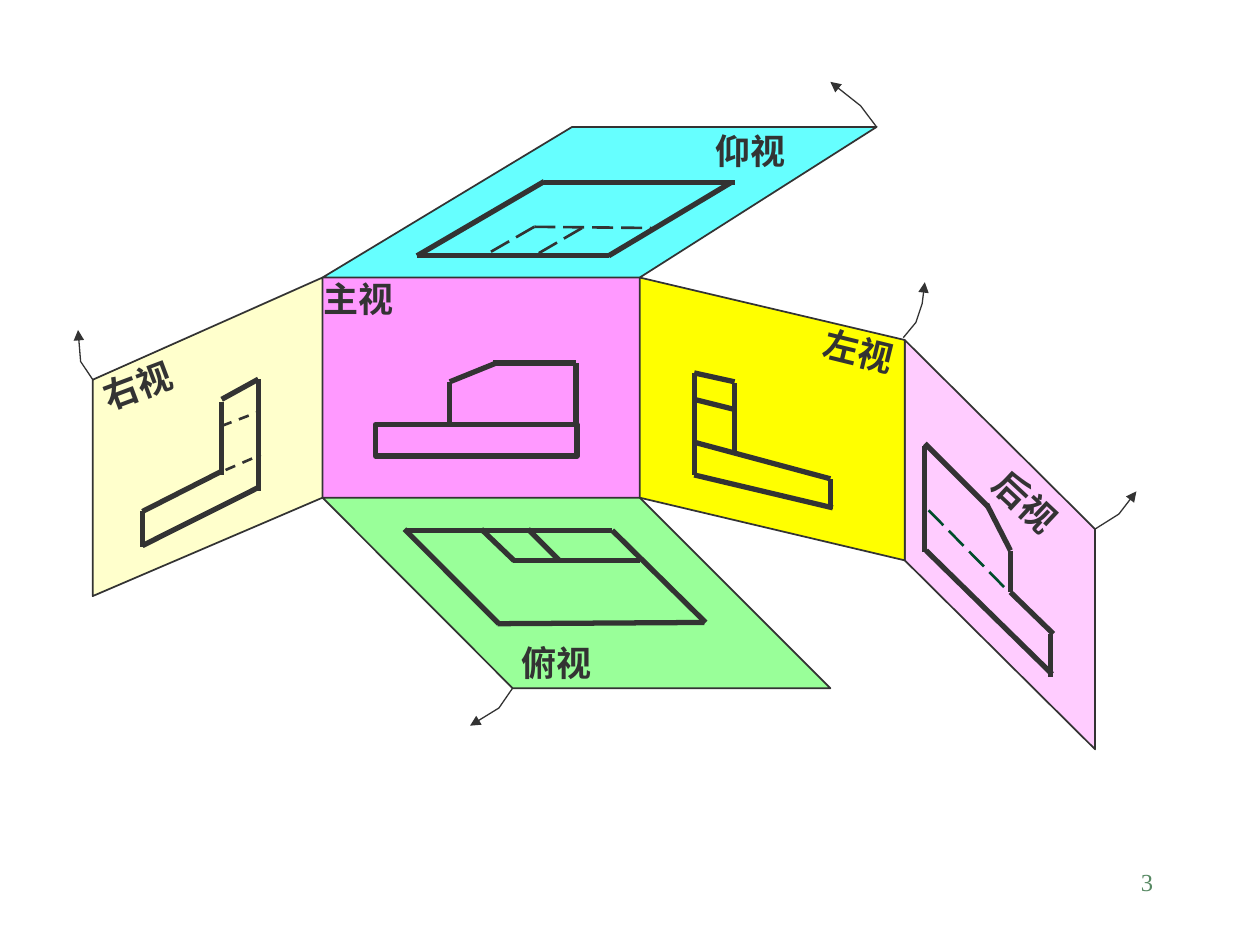
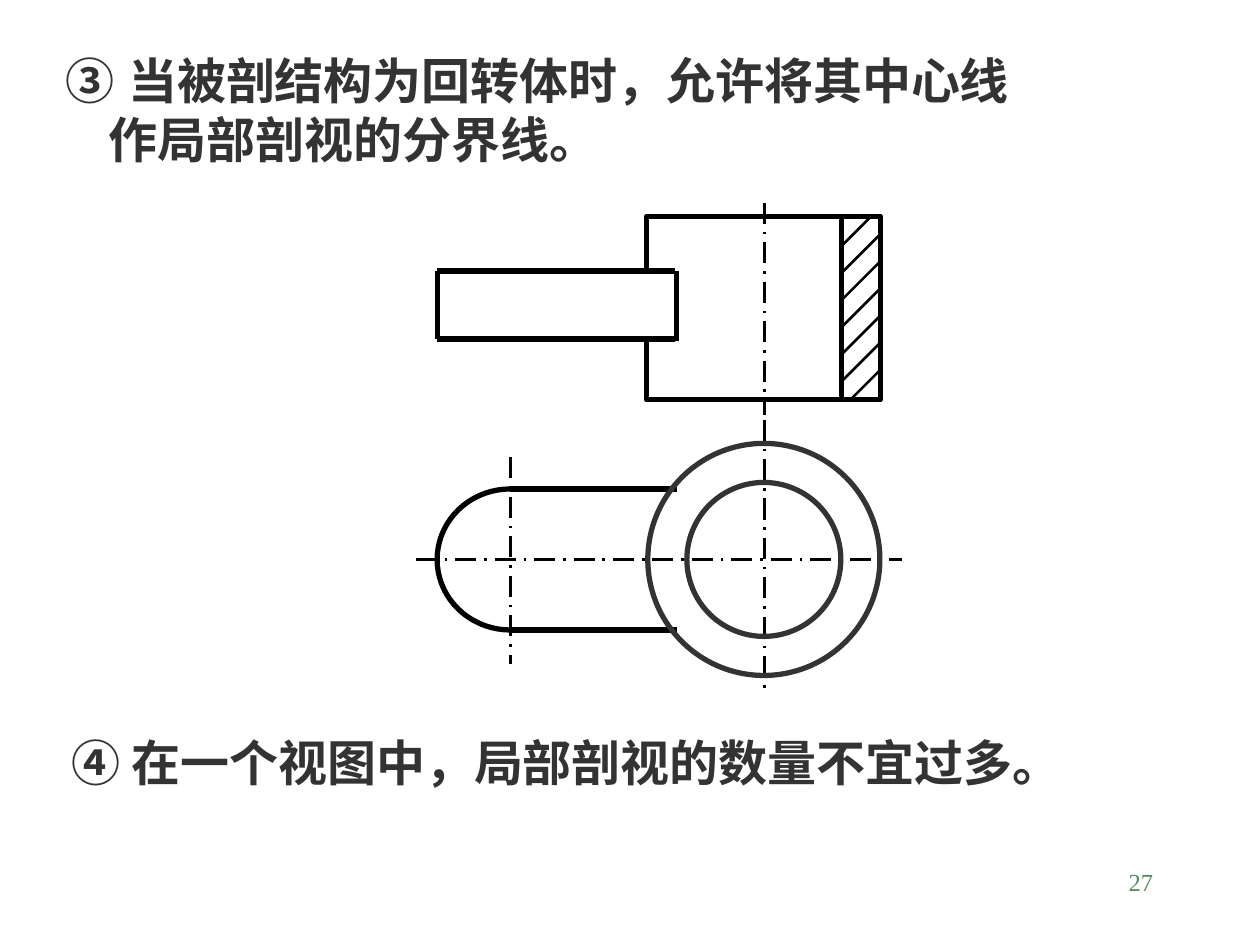
import math

import pptx
import pptx.dml.color
import pptx.enum.dml
import pptx.enum.shapes
import pptx.enum.text
import pptx.oxml
import pptx.oxml.ns
import pptx.util

Pt = pptx.util.Pt
RECTANGLE = pptx.enum.shapes.MSO_SHAPE.RECTANGLE
OVAL = pptx.enum.shapes.MSO_SHAPE.OVAL
DASH = pptx.enum.dml.MSO_LINE.DASH
LONG_DASH = pptx.enum.dml.MSO_LINE.LONG_DASH
CENTRE_DASH = pptx.enum.dml.MSO_LINE.LONG_DASH_DOT
TOP = pptx.enum.text.MSO_ANCHOR.TOP
MIDDLE = pptx.enum.text.MSO_ANCHOR.MIDDLE

INK, BLACK, WHITE = "333333", "000000", "FFFFFF"
HIDDEN_GREEN, NUMBER_GREEN = "004C2B", "578963"
LATIN_FONT, CHINESE_FONT = "Times New Roman", "Noto Sans CJK SC"
THICK, MEDIUM, THIN, HAIR = 3, 1.5, 1, 0.75


def color(hex_string):
    return pptx.dml.color.RGBColor.from_string(hex_string)


def drawing_element(tag, attributes=""):
    namespace = pptx.oxml.ns.nsdecls("a")
    return pptx.oxml.parse_xml(f"<a:{tag} {namespace} {attributes}/>")


class Sheet:
    """Draws on the current slide; all lengths are points."""

    def __init__(self, presentation):
        self.presentation = presentation
        self.slide = None

    def new_slide(self, number):
        self.slide = self.presentation.slides.add_slide(self.presentation.slide_layouts[6])
        paragraph = self.text_frame(516.2, 491.8, 149.8, 36).paragraphs[0]
        paragraph.alignment = pptx.enum.text.PP_ALIGN.RIGHT
        self.run(paragraph, str(number), 14, NUMBER_GREEN, bold=False)

    def outline(self, line, line_color, weight, dash=None):
        line.color.rgb = color(line_color)
        line.width = Pt(weight)
        if dash is not None:
            line.dash_style = dash

    def finish(self, shape, fill, line_color, weight):
        shape.shadow.inherit = False
        if fill:
            shape.fill.solid()
            shape.fill.fore_color.rgb = color(fill)
        else:
            shape.fill.background()
        self.outline(shape.line, line_color, weight)
        return shape

    def preset(self, kind, left, top, width, height, line_color=INK, weight=THICK, fill=None):
        shape = self.slide.shapes.add_shape(kind, Pt(left), Pt(top), Pt(width), Pt(height))
        return self.finish(shape, fill, line_color, weight)

    def polyline(self, points, line_color=INK, weight=THIN, fill=None, close=False):
        (first_x, first_y), *others = [(Pt(x), Pt(y)) for x, y in points]
        builder = self.slide.shapes.build_freeform(first_x, first_y)
        builder.add_line_segments(others, close=close)
        return self.finish(builder.convert_to_shape(), fill, line_color, weight)

    def arrow(self, points):
        shape = self.polyline(points, weight=HAIR)
        shape.line._get_or_add_ln().append(drawing_element("tailEnd", 'type="triangle"'))

    def lines(self, segments, line_color=INK, weight=THICK, dash=None):
        for segment in segments:
            connector = self.slide.shapes.add_connector(
                pptx.enum.shapes.MSO_CONNECTOR.STRAIGHT, *(Pt(value) for value in segment))
            self.outline(connector.line, line_color, weight, dash)
            connector._element.spPr.append(drawing_element("effectLst"))

    def text_frame(self, left, top, width, height, rotation=0, anchor=TOP):
        box = self.slide.shapes.add_textbox(Pt(left), Pt(top), Pt(width), Pt(height))
        box.rotation = rotation
        frame = box.text_frame
        frame.word_wrap = True
        frame.vertical_anchor = anchor
        return frame

    def run(self, paragraph, text, size, text_color=INK, latin=LATIN_FONT, bold=True):
        run = paragraph.add_run()
        run.text = text
        run.font.size = Pt(size)
        run.font.bold = bold
        run.font.color.rgb = color(text_color)
        run.font.name = latin
        run._r.get_or_add_rPr().append(drawing_element("ea", f'typeface="{CHINESE_FONT}"'))

    def label(self, text, left, top, width, rotation=0):
        frame = self.text_frame(left, top, width, 31, rotation, MIDDLE)
        frame.margin_right = 0
        self.run(frame.paragraphs[0], text, 20)

    def statement(self, rows, left, top, width, height):
        """Rows are (text, left margin, tab stop)."""
        frame = self.text_frame(left, top, width, height)
        frame.margin_top = Pt(6)
        for index, (text, margin, tab_stop) in enumerate(rows):
            paragraph = frame.add_paragraph() if index else frame.paragraphs[0]
            paragraph.line_spacing = Pt(33.5)
            properties = paragraph._p.get_or_add_pPr()
            properties.set("marL", str(Pt(margin)))
            properties.set("indent", "0")
            if tab_stop:
                tabs = drawing_element("tabLst")
                tabs.append(drawing_element("tab", f'pos="{Pt(tab_stop)}" algn="l"'))
                properties.append(tabs)
            self.run(paragraph, text, 28, latin=CHINESE_FONT)


def unfolded_views(sheet):
    sheet.new_slide(3)

    # Projection planes, hinged on the front plane
    left, right, top, bottom = 184.3, 365.6, 158.6, 284.4
    hinge_x, back_x = 517, 625.8
    planes = [
        ("FFCCFF", [(hinge_x, 194.3), (back_x, 302.4), (back_x, 428.2), (hinge_x, 320.2)]),
        ("66FFFF", [(left, top), (327, 72.5), (501, 72.5), (right, top)]),
        ("99FF99", [(left, bottom), (293, 393.3), (474.5, 393.3), (right, bottom)]),
        ("FFFFCC", [(left, top), (53, 217), (53, 340.6), (left, bottom)]),
        ("FFFF00", [(right, top), (hinge_x, 194.3), (hinge_x, 320.2), (right, bottom)]),
    ]
    sheet.preset(RECTANGLE, left, top, right - left, bottom - top, weight=THIN, fill="FF99FF")
    for fill, corners in planes:
        sheet.polyline(corners, fill=fill, close=True)

    # Visible edges of the part in each view
    sheet.preset(RECTANGLE, 214.6, 242.6, 115.2, 18)
    front = [(329.2, 207.4, 281.5, 207.4), (257, 242.6, 257, 218.2),
             (257, 218.2, 283.7, 207.4), (329.2, 242.6, 329.2, 207.4)]
    left_side = [(396.7, 271.4, 475.9, 290.2), (474.5, 290.9, 474.5, 273.6),
                 (396.7, 271.4, 396.7, 213.1), (396.7, 252.7, 474.5, 273.6),
                 (419.8, 258.5, 419.8, 218.9), (396.7, 213.1, 419.8, 218.2),
                 (396.7, 228.2, 419.8, 234)]
    right_side = [(147.6, 216.7, 147.6, 280.8), (147.6, 278.6, 81.4, 311.8),
                  (147.6, 216.7, 126.7, 228.2), (126.7, 229.7, 126.7, 271.4),
                  (126.7, 269.3, 81.4, 292.3), (81.4, 292.3, 81.4, 312.5)]
    from_above = [(232.6, 303.1, 349.9, 303.1), (284.4, 356.4, 402.5, 355.7),
                  (349.9, 303.1, 403.2, 355.7), (293, 320.4, 365.8, 320.4),
                  (231.1, 302.4, 285.1, 356.4), (293.8, 320.4, 275, 302.4),
                  (301.7, 302.4, 319.7, 320.4)]
    from_below = [(238.3, 146.2, 347.8, 146.2), (311, 104.4, 419.8, 104.4),
                  (238.3, 146.2, 311, 103.7), (347.8, 146.2, 417.6, 104.4)]
    back = [(529.2, 314.6, 601.2, 385.2), (528.5, 254.9, 528.5, 315.4),
            (600.5, 386.6, 600.5, 362.2), (601.9, 362.2, 577.4, 338.4),
            (577.4, 338.4, 577.4, 314.6), (577.4, 314.6, 563.8, 288),
            (528.5, 253.4, 564.5, 289.4)]
    for view in (front, left_side, right_side, from_above, from_below, back):
        sheet.lines(view)

    # Hidden edges
    sheet.lines([(128.9, 268.6, 149, 259.9), (126.7, 243.4, 147.6, 235.4)],
                weight=MEDIUM, dash=DASH)
    sheet.lines([(305.3, 129.6, 372.2, 130.3), (305.3, 129.6, 277.9, 145.4),
                 (332.6, 130.3, 305.3, 146.2)], weight=MEDIUM, dash=LONG_DASH)
    sheet.lines([(573.8, 335.5, 527.8, 288.7)], HIDDEN_GREEN, MEDIUM, LONG_DASH)

    # View names
    sheet.label("主视", 177.8, 154.8, 78.5)
    sheet.label("俯视", 290.9, 362.9, 54.7)
    sheet.label("左视", 463.7, 185, 54.7, 13.9)
    sheet.label("右视", 51.1, 203, 63.4, 339.3)
    sheet.label("后视", 555.1, 281.5, 85, 43.1)
    sheet.label("仰视", 401.8, 70.6, 72.7)

    # Unfolding directions
    for points in (
        [(53.3, 217.4), (46.1, 206.6), (44.6, 188.6)],
        [(501, 72.7), (491.8, 60.5), (474.5, 46.8)],
        [(293, 393.1), (285.1, 404.6), (268.6, 414.7)],
        [(516.2, 193), (523.4, 184.3), (527, 173.5), (528.5, 161.3)],
        [(625.7, 302.4), (639.4, 293.8), (649.4, 280.8)],
    ):
        sheet.arrow(points)


def local_section(sheet):
    sheet.new_slide(27)

    # Rules
    sheet.statement([("③\t当被剖结构为回转体时，允许将其中心线", 0, 40.5),
                     ("作局部剖视的分界线。", 25, None)], 30.2, 23, 679, 74.2)
    sheet.statement([("④ 在一个视图中，局部剖视的数量不宜过多。", 0, None)], 33.8, 412.6, 657.4, 41)

    # Front view: cylinder with its bore edge, then the handle
    top, bottom, bore_x, wall_x = 123.6, 228.5, 481, 503
    axis_x, axis_y, handle_x = 437, 319.7, 249.8
    sheet.preset(RECTANGLE, 369.4, top, wall_x - 369.4, bottom - top, BLACK)
    sheet.lines([(axis_x, 115.9, axis_x, 236.9)], BLACK, MEDIUM, CENTRE_DASH)
    sheet.lines([(bore_x, top, bore_x, bottom)], BLACK)
    sheet.preset(RECTANGLE, 364.3, 154.8, 10, 38.2, WHITE, HAIR, WHITE)
    sheet.lines([(386, 154.8, handle_x, 154.8), (386, 193.7, handle_x, 193.7),
                 (386.6, 154.8, 386.6, 195.1), (handle_x, 154.8, handle_x, 193.7)], BLACK)

    # Hatching at 45 degrees, clipped to the cut wall
    hatches = []
    for index in range(8):
        y = 140.4 + 15.5 * index
        start = max(0, y - bottom)
        end = min(wall_x - bore_x, y - top)
        hatches.append((bore_x + start, y - start, bore_x + end, y - end))
    sheet.lines(hatches, BLACK, MEDIUM)

    # Top view: round-ended handle, centre lines and rings
    end_x, radius_x, radius_y = 291.6, 41.8, 40.3
    sheet.lines([(axis_x, 239.8, axis_x, 397.4)], BLACK, MEDIUM, CENTRE_DASH)
    sheet.lines([(386.6, axis_y + side * radius_y, end_x, axis_y + side * radius_y)
                 for side in (-1, 1)], BLACK)
    sheet.lines([(end_x, 261.4, end_x, 379.4)], BLACK, MEDIUM, CENTRE_DASH)
    angles = [math.radians(degrees) for degrees in range(90, 271, 5)]
    sheet.polyline([(end_x + radius_x * math.cos(angle), axis_y - radius_y * math.sin(angle))
                    for angle in angles], BLACK, THICK)
    sheet.lines([(237.6, axis_y, 515.5, axis_y)], BLACK, MEDIUM, CENTRE_DASH)
    for radius in (44, 66.3):
        sheet.preset(OVAL, 436.5 - radius, axis_y - radius, 2 * radius, 2 * radius)


def main():
    presentation = pptx.Presentation()
    presentation.slide_width = Pt(720)
    presentation.slide_height = Pt(540)
    sheet = Sheet(presentation)
    unfolded_views(sheet)
    local_section(sheet)
    presentation.save("out.pptx")


if __name__ == "__main__":
    main()
